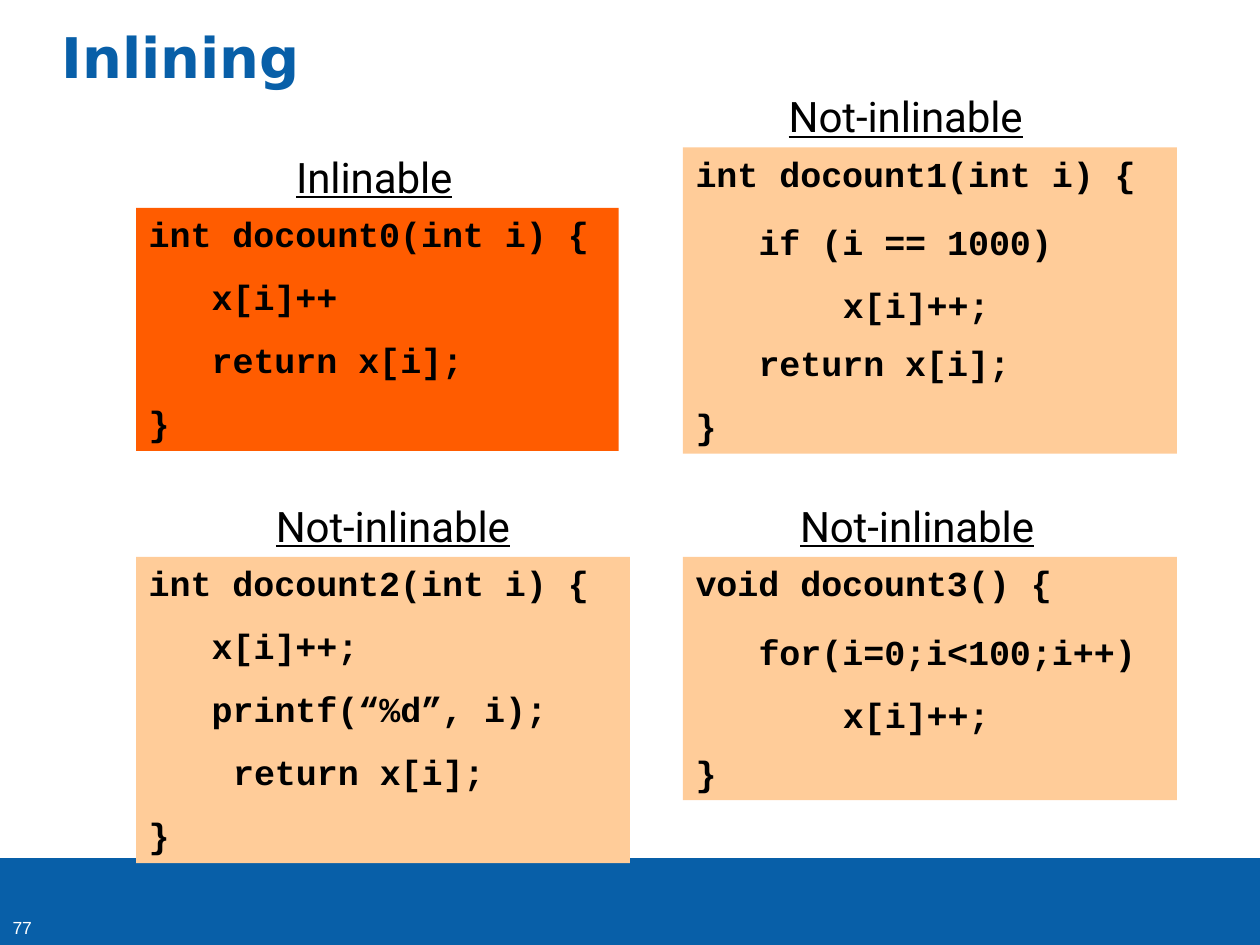
import pptx
import pptx.util
import pptx.dml.color
import pptx.enum.shapes
import pptx.enum.text
from pptx.util import Inches, Pt

COLORS = {
    "blue": "085FA8",
    "orange": "FF5C00",
    "peach": "FFCC99",
    "black": "000000",
    "white": "FFFFFF",
}
SLIDE_WIDTH, SLIDE_HEIGHT = Inches(10), Inches(7.5)

# Code indents in inches
OUTER, INNER, INNER_SPACE, NESTED = 0.1, 0.6, 0.77, 1.27

# Heading, its offset from the box, box (left, top, width, height), fill,
# and the code lines as (text, indent, points before)
PANELS = [
    ("Inlinable", 1.26, (1.08, 1.65, 3.83, 1.93), "orange", [
        ("int docount0(int i) {", OUTER, 0),
        ("x[i]++", INNER, 12),
        ("return x[i];", INNER, 12),
        ("}", OUTER, 12)]),
    ("Not-inlinable", 0.83, (5.42, 1.17, 3.92, 2.43), "peach", [
        ("int docount1(int i) {", OUTER, 0),
        ("if (i == 1000)", INNER, 15),
        ("x[i]++;", NESTED, 12),
        ("return x[i];", INNER, 9),
        ("}", OUTER, 12)]),
    ("Not-inlinable", 1.1, (1.08, 4.42, 3.92, 2.43), "peach", [
        ("int docount2(int i) {", OUTER, 0),
        ("x[i]++;", INNER, 12),
        ("printf(“%d”, i);", INNER, 12),
        ("return x[i];", INNER_SPACE, 12),
        ("}", OUTER, 12)]),
    ("Not-inlinable", 0.92, (5.42, 4.42, 3.92, 1.93), "peach", [
        ("void docount3() {", OUTER, 0),
        ("for(i=0;i<100;i++)", INNER, 15),
        ("x[i]++;", NESTED, 12),
        ("}", OUTER, 9)]),
]


def rgb(name):
    return pptx.dml.color.RGBColor.from_string(COLORS[name])


def prepare_frame(shape, top_inset):
    frame = shape.text_frame
    frame.margin_left = frame.margin_right = frame.margin_bottom = 0
    frame.margin_top = Inches(top_inset)
    frame.word_wrap = True
    frame.auto_size = pptx.enum.text.MSO_AUTO_SIZE.NONE
    frame.vertical_anchor = pptx.enum.text.MSO_ANCHOR.TOP
    return frame


def write(paragraph, text, font, size, color="black", bold=False,
          underline=False, indent=0.01, before=0):
    properties = paragraph._p.get_or_add_pPr()
    properties.set("marL", str(Inches(indent)))
    properties.set("indent", "0")
    paragraph.alignment = pptx.enum.text.PP_ALIGN.LEFT
    paragraph.space_before = Pt(before)
    run = paragraph.add_run()
    run.text = text
    run.font.name = font
    run.font.size = Pt(size)
    run.font.bold = bold
    run.font.underline = underline
    run.font.color.rgb = rgb(color)
    run._r.get_or_add_rPr().set("spc", "-5")


def add_block(slide, left, top, width, height, fill):
    block = slide.shapes.add_shape(
        pptx.enum.shapes.MSO_SHAPE.RECTANGLE, left, top, width, height)
    block.shadow.inherit = False
    block.fill.solid()
    block.fill.fore_color.rgb = rgb(fill)
    block.line.fill.background()
    return block


def add_label(slide, text, left, top, width, height, inset, **style):
    label = slide.shapes.add_textbox(left, top, width, height)
    write(prepare_frame(label, inset).paragraphs[0], text, **style)


def add_title(slide, left, top, width, height):
    title = slide.shapes.title
    title.left, title.top, title.width, title.height = left, top, width, height
    write(prepare_frame(title, 0.02).paragraphs[0], "Inlining",
          font="DejaVu Sans", size=32, color="blue", bold=True)


def add_footer(slide, left, top, width, height):
    add_block(slide, left, top, width, height, "blue")
    add_label(slide, "77", left + Inches(0.07), top + Inches(0.47),
              Inches(0.3), Inches(0.18), 0,
              font="Arial", size=10, color="white", indent=0.03)


def add_panel(slide, box, heading, heading_offset, fill, code):
    left, top, width, height = box
    code_box = add_block(slide, left, top, width, height, fill)
    frame = prepare_frame(code_box, 0.04)
    for number, (line, indent, before) in enumerate(code):
        paragraph = frame.add_paragraph() if number else frame.paragraphs[0]
        write(paragraph, line, font="Courier New", size=20, bold=True,
              indent=indent, before=before)
    add_label(slide, heading, left + Inches(heading_offset),
              top - Inches(0.47), Inches(2), Inches(0.43), 0.02,
              font="Roboto", size=24, underline=True)


def main():
    deck = pptx.Presentation()
    deck.slide_width, deck.slide_height = SLIDE_WIDTH, SLIDE_HEIGHT
    slide = deck.slides.add_slide(deck.slide_layouts[5])

    # Title and footer band
    add_title(slide, Inches(0.48), Inches(0.16), Inches(3), Inches(0.56))
    add_footer(slide, 0, Inches(6.81), SLIDE_WIDTH, Inches(0.69))

    # Four code examples
    for heading, offset, box, fill, code in PANELS:
        add_panel(slide, [Inches(side) for side in box],
                  heading, offset, fill, code)

    deck.save("out.pptx")


if __name__ == "__main__":
    main()
